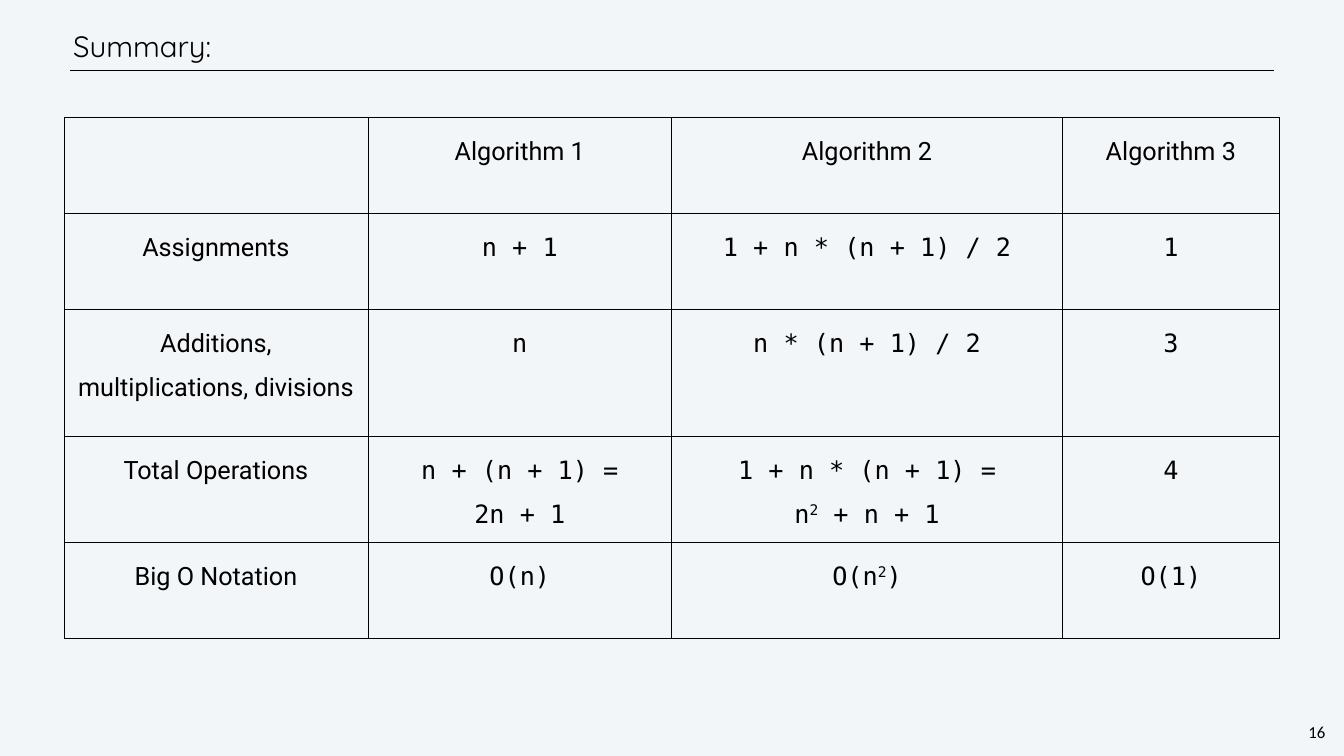
from lxml.etree import SubElement
from pptx import Presentation
from pptx.dml.color import RGBColor
from pptx.enum.shapes import MSO_CONNECTOR
from pptx.enum.text import MSO_ANCHOR, PP_ALIGN
from pptx.oxml.ns import qn
from pptx.util import Pt

SCALE = 9144  # EMU in one px, 100 px to the inch
INK = RGBColor(0, 0, 0)
PAPER = RGBColor(0xF3, 0xF6, 0xF9)
HEAD, BODY, MONO, NUM = "Quicksand", "Roboto", "DejaVu Sans Mono", "Calibri"

COLS = [603, 603, 775, 431]
ROWS = [190, 190, 253, 210, 190]
# A pair of carets holds a superscript; a line break starts a paragraph.
CELLS = [
    ["", "Algorithm 1", "Algorithm 2", "Algorithm 3"],
    ["Assignments", "n + 1", "1 + n * (n + 1) / 2", "1"],
    ["Additions, multiplications, divisions", "n", "n * (n + 1) / 2", "3"],
    ["Total Operations", "n + (n + 1) =\n2n + 1",
     "1 + n * (n + 1) =\nn^2^ + n + 1", "4"],
    ["Big O Notation", "O(n)", "O(n^2^)", "O(1)"],
]


def px(*vals):
    return [val * SCALE for val in vals]


class Deck:
    def __init__(self, width, height):
        self.prs = Presentation()
        self.prs.slide_width, self.prs.slide_height = px(width, height)
        self.slide = self.prs.slides.add_slide(self.prs.slide_layouts[6])
        fill = self.slide.background.fill
        fill.solid()
        fill.fore_color.rgb = PAPER

    def put(self, frame, text, font, size, space, align):
        """Fill a frame with text, one paragraph to a line."""
        for num, line in enumerate(text.split("\n")):
            para = frame.add_paragraph() if num else frame.paragraphs[0]
            para.alignment, para.line_spacing = align, space
            for pos, part in enumerate(line.split("^")):
                if not part:
                    continue
                run = para.add_run()
                run.text = part
                run.font.name, run.font.size = font, Pt(size)
                run.font.color.rgb = INK
                if pos % 2:
                    run._r.get_or_add_rPr().set("baseline", "30000")

    def text(self, box, text, font, size, space, inset, wrap=True,
             align=PP_ALIGN.LEFT, anchor=MSO_ANCHOR.TOP):
        frame = self.slide.shapes.add_textbox(*px(*box)).text_frame
        frame.word_wrap, frame.vertical_anchor = wrap, anchor
        frame.margin_left, frame.margin_top = px(inset, inset)
        frame.margin_right, frame.margin_bottom = px(inset, inset)
        self.put(frame, text, font, size, space, align)

    def rule(self, left, right, top):
        line = self.slide.shapes.add_connector(
            MSO_CONNECTOR.STRAIGHT, *px(left, top, right, top))
        line.line.color.rgb, line.line.width = INK, Pt(1)
        SubElement(line._element.spPr, qn("a:effectLst"))

    def edge(self, cell):
        """Draw a thin line on all four sides of a cell."""
        props = cell._tc.get_or_add_tcPr()
        for side in "LRTB":
            line = SubElement(props, qn(f"a:ln{side}"), w=str(Pt(1)))
            fill = SubElement(line, qn("a:solidFill"))
            SubElement(fill, qn("a:srgbClr"), val=str(INK))

    def table(self, left, top, cols, rows, cells):
        table = self.slide.shapes.add_table(
            len(rows), len(cols), *px(left, top, sum(cols), sum(rows))).table
        table.first_row = table.horz_banding = False
        for col, width in zip(table.columns, px(*cols)):
            col.width = width
        for row, height in zip(table.rows, px(*rows)):
            row.height = height
        for y, line in enumerate(cells):
            for x, text in enumerate(line):
                cell = table.cell(y, x)
                cell.margin_left, cell.margin_right = px(20, 20)
                cell.margin_top, cell.margin_bottom = px(10, 10)
                self.edge(cell)
                cell.fill.background()
                font = MONO if x and y else BODY
                self.put(cell.text_frame, text, font, 36, 1.5,
                         PP_ALIGN.CENTER)


def main():
    deck = Deck(2667, 1500)
    deck.rule(139, 2528, 140)
    deck.text((139, 42, 2262, 99), "Summary:", HEAD, 42, Pt(50), 6,
              anchor=MSO_ANCHOR.MIDDLE)
    deck.text((2592, 1429, 42, 48), "16", NUM, 24, Pt(28), 4, wrap=False,
              align=PP_ALIGN.CENTER)
    deck.table(127, 233, COLS, ROWS, CELLS)
    deck.prs.save("out.pptx")


if __name__ == "__main__":
    main()
